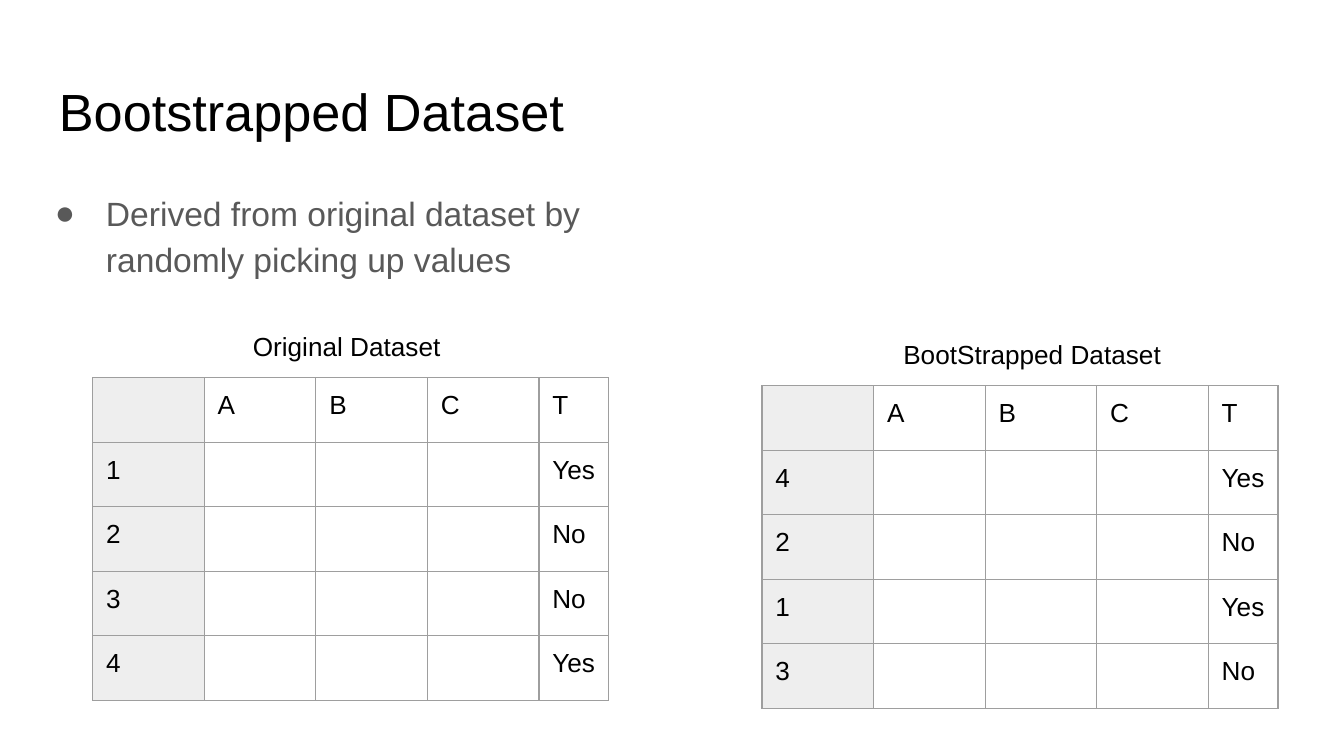
from lxml import etree
from pptx import Presentation
from pptx.dml.color import RGBColor
from pptx.enum import text
from pptx.oxml import ns
from pptx.util import Inches, Pt

BLACK = RGBColor(0x00, 0x00, 0x00)
GREY = RGBColor(0x59, 0x59, 0x59)
HEADER_FILL = RGBColor(0xEE, 0xEE, 0xEE)
BORDER = RGBColor(0x9E, 0x9E, 0x9E)
INSET = Inches(0.1)
COLUMNS = [0.83, 0.83, 0.83, 0.83, 0.52]
ROW_HEIGHT = 0.48


def add_xml(parent, tag, **attrs):
    """Append a DrawingML element and return it."""
    return etree.SubElement(parent, ns.qn(tag), attrs)


def set_font(p, size, color):
    """Style a whole paragraph."""
    p.font.name = "Arial"
    p.font.size = Pt(size)
    p.font.color.rgb = color


def add_text(s, box, content, size, color=BLACK, align=text.PP_ALIGN.LEFT):
    """Place one paragraph in a wrapped text box and return the paragraph."""
    tf = s.shapes.add_textbox(*map(Inches, box)).text_frame
    tf.word_wrap = True
    tf.margin_left = tf.margin_right = tf.margin_top = tf.margin_bottom = INSET
    p = tf.paragraphs[0]
    p.text = content
    p.alignment = align
    set_font(p, size, color)
    return p


def add_bullet(s, box, content):
    """Place a bulleted paragraph with a hanging indent."""
    p = add_text(s, box, content, 18, GREY)
    p.line_spacing = 1.15
    pPr = p._p.get_or_add_pPr()
    pPr.set("marL", str(Inches(0.5)))
    pPr.set("indent", str(-Inches(0.38)))
    bullet_color = etree.Element(ns.qn("a:buClr"))
    add_xml(bullet_color, "a:srgbClr", val=str(GREY))
    bullet_font = etree.Element(ns.qn("a:buFont"), typeface="Arial")
    bullet_char = etree.Element(ns.qn("a:buChar"), char="●")
    pPr.find(ns.qn("a:lnSpc")).addnext(bullet_color)
    bullet_color.addnext(bullet_font)
    bullet_font.addnext(bullet_char)


def style_cell(cell, content, is_label):
    """Fill in a cell and draw its four borders."""
    cell.margin_left = cell.margin_right = INSET
    cell.margin_top = cell.margin_bottom = INSET
    p = cell.text_frame.paragraphs[0]
    p.text = content
    set_font(p, 14, BLACK)
    tcPr = cell._tc.get_or_add_tcPr()
    for side in ("a:lnL", "a:lnR", "a:lnT", "a:lnB"):
        ln = add_xml(tcPr, side, w=str(Pt(0.75)))
        add_xml(add_xml(ln, "a:solidFill"), "a:srgbClr", val=str(BORDER))
    if is_label:
        cell.fill.solid()
        cell.fill.fore_color.rgb = HEADER_FILL
    else:
        cell.fill.background()


def add_dataset(s, left, top, caption, caption_shift, records):
    """Place a captioned dataset table; records are (row label, target)."""
    rows = [["", "A", "B", "C", "T"]]
    rows += [[label, "", "", "", target] for label, target in records]
    frame = s.shapes.add_table(len(rows), len(COLUMNS), Inches(left), Inches(top),
                               Inches(sum(COLUMNS)), Inches(ROW_HEIGHT * len(rows)))
    table = frame.table
    table.first_row = table.horz_banding = False
    for column, width in zip(table.columns, COLUMNS):
        column.width = Inches(width)
    for r, values in enumerate(rows):
        table.rows[r].height = Inches(ROW_HEIGHT)
        for c, value in enumerate(values):
            style_cell(table.cell(r, c), value, c == 0)
    add_text(s, (left + caption_shift, top - 0.45, 2.18, 0.4), caption, 14,
             align=text.PP_ALIGN.CENTER)


def build_slide(prs):
    """Build the bootstrapped dataset slide."""
    s = prs.slides.add_slide(prs.slide_layouts[6])
    add_text(s, (0.34, 0.49, 9.32, 0.63), "Bootstrapped Dataset", 28)
    add_bullet(s, (0.19, 1.29, 9.32, 3.74),
               "Derived from original dataset by\vrandomly picking up values")
    targets = {"1": "Yes", "2": "No", "3": "No", "4": "Yes"}
    for left, top, caption, shift, order in (
            (0.69, 2.81, "Original Dataset", 0.8, "1234"),
            (5.67, 2.87, "BootStrapped Dataset", 0.92, "4213")):
        add_dataset(s, left, top, caption, shift, [(n, targets[n]) for n in order])


prs = Presentation()
prs.slide_width = Inches(10)
prs.slide_height = prs.slide_width * 9 // 16
build_slide(prs)
prs.save("out.pptx")
